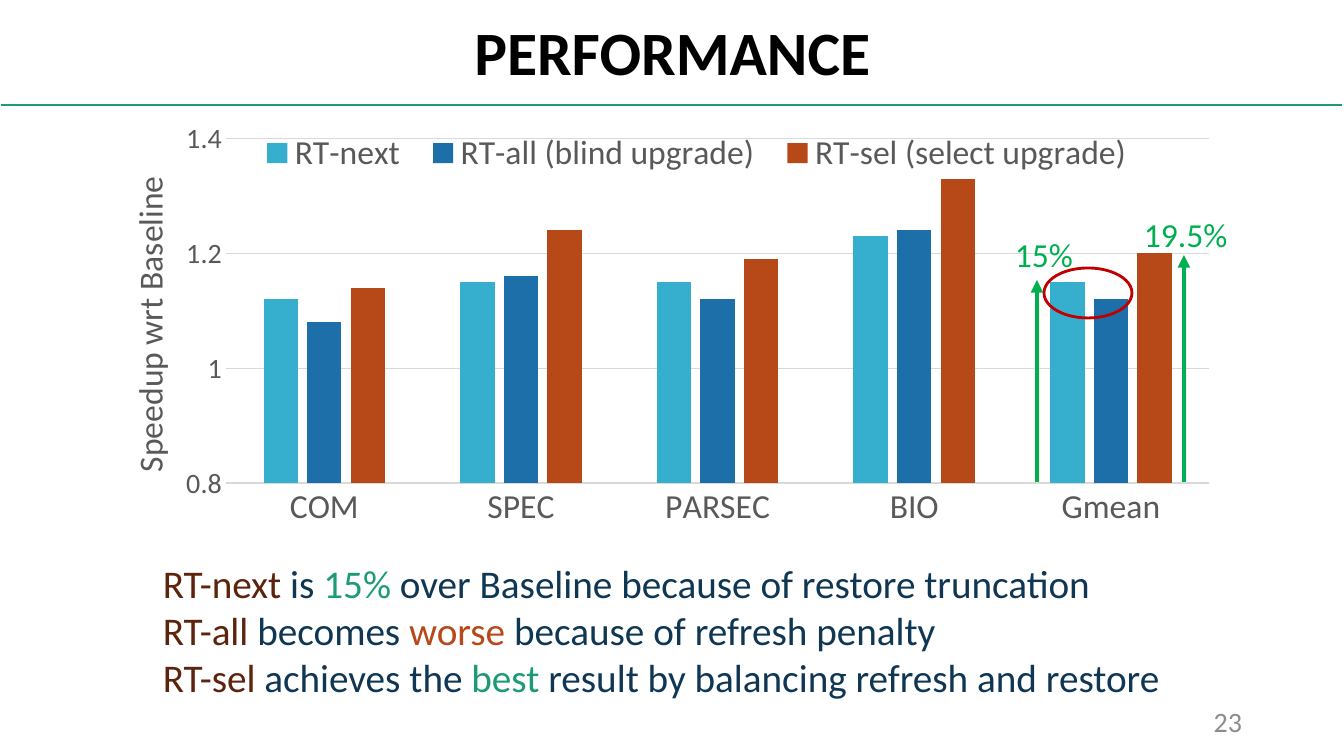
from lxml import etree
from pptx import Presentation
from pptx.chart.data import CategoryChartData
from pptx.dml.color import RGBColor
from pptx.enum.chart import XL_CHART_TYPE, XL_LEGEND_POSITION, XL_TICK_MARK
from pptx.enum.shapes import MSO_CONNECTOR, MSO_SHAPE
from pptx.enum.text import MSO_ANCHOR, PP_ALIGN
from pptx.oxml.ns import qn
from pptx.util import Pt

CLUSTERED = XL_CHART_TYPE.COLUMN_CLUSTERED
LEGEND_BOTTOM = XL_LEGEND_POSITION.BOTTOM
NO_TICK = XL_TICK_MARK.NONE
STRAIGHT = MSO_CONNECTOR.STRAIGHT
OVAL = MSO_SHAPE.OVAL
TOP, MIDDLE = MSO_ANCHOR.TOP, MSO_ANCHOR.MIDDLE
LEFT, CENTER, RIGHT = PP_ALIGN.LEFT, PP_ALIGN.CENTER, PP_ALIGN.RIGHT

# Content: lengths in px, 100.8 px to the inch
FONT = "Calibri"
BLACK, GREY, PALE, PAGE_GREY = "000000", "595959", "D9D9D9", "8C8C8C"
TEAL, GREEN, RED = "1D9A78", "00B050", "C00000"
NAVY, BROWN, RUST = "0F3754", "5C240C", "B74919"

TITLE = ("PERFORMANCE", (93, 7, 1159, 97))
PAGE = ("23", (950, 701, 302, 40))
RULE = (1, 105, 1342, 105)

CHART_BOX = (121, 121, 1129, 423)
PLOT_LAYOUT = {"x": 0.093, "y": 0.04, "w": 0.871, "h": 0.816}
LEGEND_LAYOUT = {"x": 0.11, "y": 0.02, "w": 0.8, "h": 0.11}
AXIS_TITLE = "Speedup wrt Baseline"
VALUE_AXIS = {"minimum_scale": 0.8, "maximum_scale": 1.4, "major_unit": 0.2}
CATEGORIES = ["COM", "SPEC", "PARSEC", "BIO", "Gmean"]
SERIES = [
    ("RT-next", [1.12, 1.15, 1.15, 1.23, 1.15], "36AFCE"),
    ("RT-all (blind upgrade)", [1.08, 1.16, 1.12, 1.24, 1.12], "1D6FA9"),
    ("RT-sel (select upgrade)", [1.14, 1.24, 1.19, 1.33, 1.2], RUST),
]

GAINS_FOOT = 482
GAINS = [  # label, label box, arrow x, arrow tip y
    ("15%", (1005, 229, 79, 50), 1037, 280),
    ("19.5%", (1134, 209, 105, 50), 1184, 255),
]
DROP_RING = (1044, 268, 88, 50)

FINDINGS_BOX = (153, 554, 1097, 146)
FINDINGS = [
    [("RT-next", BROWN), (" is ", NAVY), ("15%", TEAL),
     (" over Baseline because of restore truncation", NAVY)],
    [("RT-all", BROWN), (" becomes ", NAVY), ("worse", RUST),
     (" because of refresh penalty", NAVY)],
    [("RT-sel", BROWN), (" achieves the ", NAVY), ("best", TEAL),
     (" result by balancing refresh and restore", NAVY)],
]


def px(*lengths):
    return [round(length * 914400 / 100.8) for length in lengths]


def color(hex_text):
    return RGBColor.from_string(hex_text)


def style_font(font, size, hex_text, bold=False):
    for name, value in {"name": FONT, "size": Pt(size), "bold": bold}.items():
        setattr(font, name, value)
    font.color.rgb = color(hex_text)


def style_line(line, hex_text, width):
    line.color.rgb = color(hex_text)
    line.width = Pt(width)


def add_text(slide, box, paragraphs, size, align=LEFT, anchor=TOP,
             bold=False, wrap=True, spacing=None):
    frame = slide.shapes.add_textbox(*px(*box)).text_frame
    frame.word_wrap = wrap
    frame.vertical_anchor = anchor
    for i, runs in enumerate(paragraphs):
        paragraph = frame.add_paragraph() if i else frame.paragraphs[0]
        paragraph.alignment = align
        paragraph.line_spacing = spacing
        for words, hex_text in runs:
            run = paragraph.add_run()
            run.text = words
            style_font(run.font, size, hex_text, bold)


def add_line(slide, ends, hex_text, width, arrow=False):
    line = slide.shapes.add_connector(STRAIGHT, *px(*ends))
    style_line(line.line, hex_text, width)
    if arrow:
        etree.SubElement(line.line._get_or_add_ln(), qn("a:tailEnd"), type="triangle")
    etree.SubElement(line._element.spPr, qn("a:effectLst"))


def place(layout, fractions, inner=False):
    """Fill a chart layout element with a manual position."""
    manual = etree.SubElement(layout, qn("c:manualLayout"))
    settings = {"layoutTarget": "inner"} if inner else {}
    settings.update(xMode="edge", yMode="edge", **fractions)
    for tag, value in settings.items():
        etree.SubElement(manual, qn("c:" + tag), val=str(value))


def add_speedup_chart(slide):
    data = CategoryChartData()
    data.categories = CATEGORIES
    for name, values, _ in SERIES:
        data.add_series(name, values)
    chart = slide.shapes.add_chart(CLUSTERED, *px(*CHART_BOX), data).chart
    chart.has_title = False
    style_font(chart.font, 24, BLACK)

    # Bars
    plot = chart.plots[0]
    for name, value in {"gap_width": 219, "overlap": -27,
                        "vary_by_categories": False}.items():
        setattr(plot, name, value)
    for series, (_, _, hex_text) in zip(plot.series, SERIES):
        series.format.fill.solid()
        series.format.fill.fore_color.rgb = color(hex_text)

    # Axes
    category_axis, value_axis = chart.category_axis, chart.value_axis
    for axis, size in ((category_axis, 24), (value_axis, 20)):
        axis.major_tick_mark = axis.minor_tick_mark = NO_TICK
        style_font(axis.tick_labels.font, size, GREY)
    style_line(category_axis.format.line, PALE, 0.75)
    value_axis.format.line.fill.background()
    style_line(value_axis.major_gridlines.format.line, PALE, 0.75)
    for name, value in VALUE_AXIS.items():
        setattr(value_axis, name, value)
    title_frame = value_axis.axis_title.text_frame
    title_frame.text = AXIS_TITLE
    style_font(title_frame.paragraphs[0].runs[0].font, 24, GREY)

    # Legend and plot positions
    chart.has_legend = True
    legend = chart.legend
    legend.position = LEGEND_BOTTOM
    legend.include_in_layout = True
    style_font(legend.font, 24, GREY)
    legend_layout = legend._element.find(qn("c:layout"))
    if legend_layout is None:
        legend_layout = etree.Element(qn("c:layout"))
        legend._element.find(qn("c:legendPos")).addnext(legend_layout)
    place(legend_layout, LEGEND_LAYOUT)
    plot_area = chart._chartSpace.chart.plotArea
    plot_layout = plot_area.find(qn("c:layout"))
    if plot_layout is None:
        plot_layout = etree.Element(qn("c:layout"))
        plot_area.insert(0, plot_layout)
    place(plot_layout, PLOT_LAYOUT, inner=True)


def main():
    deck = Presentation()
    deck.slide_width, deck.slide_height = px(1344, 756)
    slide = deck.slides.add_slide(deck.slide_layouts[6])

    # Header, chart and page number
    add_line(slide, RULE, TEAL, 2)
    add_speedup_chart(slide)
    title, title_box = TITLE
    add_text(slide, title_box, [[(title, BLACK)]], 44, CENTER, MIDDLE,
             bold=True, spacing=0.9)
    page, page_box = PAGE
    add_text(slide, page_box, [[(page, PAGE_GREY)]], 20, RIGHT, MIDDLE)

    # Findings
    add_text(slide, FINDINGS_BOX, FINDINGS, 28)

    # Marks on the Gmean bars
    ring = slide.shapes.add_shape(OVAL, *px(*DROP_RING))
    ring.shadow.inherit = False
    ring.fill.background()
    style_line(ring.line, RED, 2)
    for label, label_box, x, tip in GAINS:
        add_line(slide, (x, GAINS_FOOT, x, tip), GREEN, 3, arrow=True)
        add_text(slide, label_box, [[(label, GREEN)]], 24, wrap=False)

    deck.save("out.pptx")


if __name__ == "__main__":
    main()
